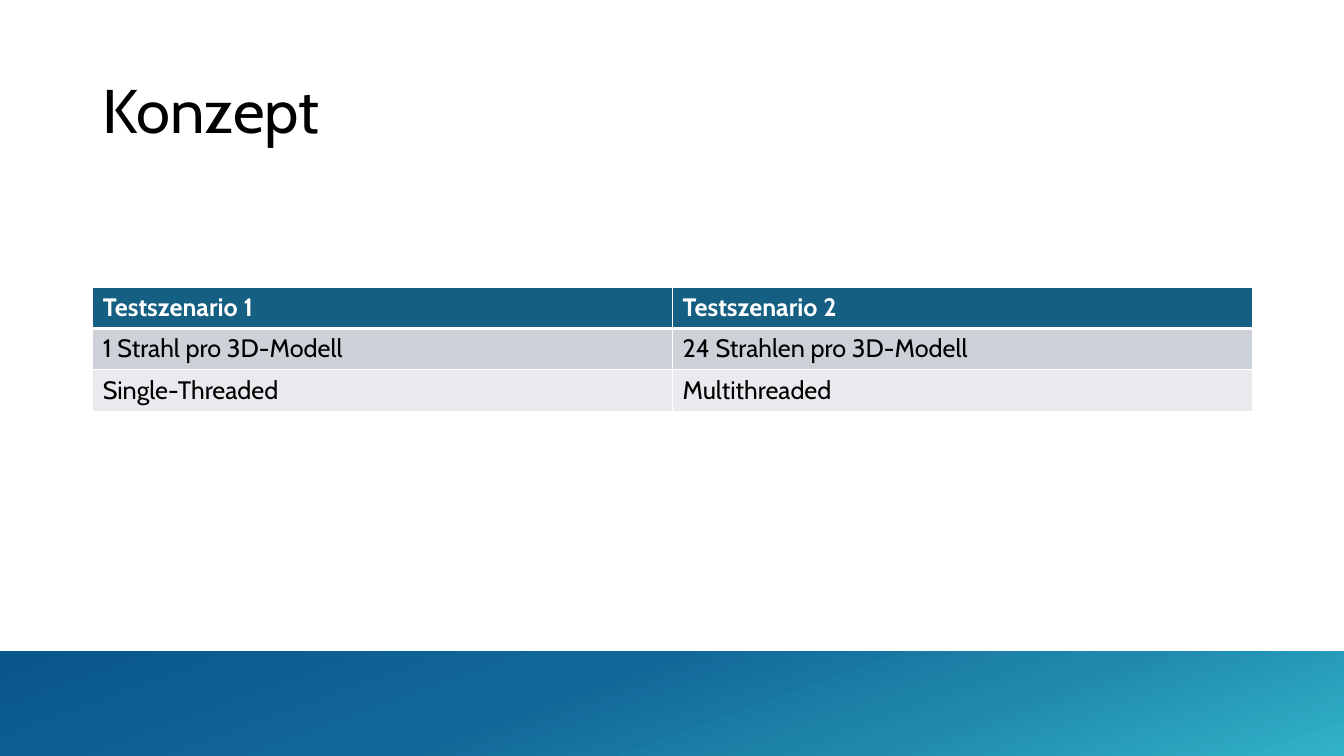
"""Build the "Konzept" slide comparing two test scenarios."""
import lxml.etree
import pptx
import pptx.dml.color
import pptx.enum.shapes
import pptx.enum.text
import pptx.oxml
import pptx.oxml.ns
import pptx.util
from pptx.util import Inches

TITLE = "Konzept"
SCENARIOS = [
    ("Testszenario 1", "Testszenario 2"),
    ("1 Strahl pro 3D-Modell", "24 Strahlen pro 3D-Modell"),
    ("Single-Threaded", "Multithreaded"),
]
THEME = {
    "font": "Cabin",
    "title_size": 44,
    "table_size": 18,
    "text": "000000",
    "header_text": "FFFFFF",
    "row_fills": ["156082", "CCD2D8", "E8EAED"],
    "border": "FFFFFF",
    "band": [(0, "0A568C"), (42, "126999"), (69, "1F88AC"), (100, "31B3C8")],
    "band_angle": 70,
}
LEFT, WIDTH = 0.92, 11.5
ROW_HEIGHT = 0.41
BAND_TOP = 6.46


def style_text(para, size, color, bold=False):
    for span in para.runs:
        span.font.name = THEME["font"]
        span.font.size = pptx.util.Pt(size)
        span.font.bold = bold
        span.font.color.rgb = pptx.dml.color.RGBColor.from_string(color)


def add_band(page, deck):
    band = page.shapes.add_shape(
        pptx.enum.shapes.MSO_SHAPE.RECTANGLE, 0, Inches(BAND_TOP),
        deck.slide_width, deck.slide_height - Inches(BAND_TOP))
    band.shadow.inherit = False
    band.line.fill.background()
    band.fill.gradient()
    gradient = band.fill._xPr.find(pptx.oxml.ns.qn("a:gradFill"))
    stops = "".join(
        f'<a:gs pos="{position * 1000}"><a:srgbClr val="{color}"/></a:gs>'
        for position, color in THEME["band"])
    gradient.getparent().replace(gradient, pptx.oxml.parse_xml(
        f'<a:gradFill {pptx.oxml.ns.nsdecls("a")} rotWithShape="1"><a:gsLst>{stops}</a:gsLst>'
        f'<a:lin ang="{THEME["band_angle"] * 60000}" scaled="0"/></a:gradFill>'))


def add_borders(cell, widths):
    properties = cell._tc.get_or_add_tcPr()
    for index, (side, points) in enumerate(widths.items()):
        properties.insert(index, pptx.oxml.parse_xml(
            f'<a:{side} {pptx.oxml.ns.nsdecls("a")} w="{pptx.util.Pt(points)}"><a:solidFill>'
            f'<a:srgbClr val="{THEME["border"]}"/></a:solidFill></a:{side}>'))


def add_title(page):
    title = page.shapes.title
    title.left, title.top = Inches(LEFT), Inches(0.4)
    title.width, title.height = Inches(WIDTH), Inches(1.45)
    title.text_frame.text = TITLE
    title.text_frame.vertical_anchor = pptx.enum.text.MSO_ANCHOR.MIDDLE
    para = title.text_frame.paragraphs[0]
    para.alignment = pptx.enum.text.PP_ALIGN.LEFT
    para.line_spacing = 0.9
    style_text(para, THEME["title_size"], THEME["text"])


def add_scenarios(page):
    table = page.shapes.add_table(
        len(SCENARIOS), len(SCENARIOS[0]), Inches(LEFT), Inches(2.85),
        Inches(WIDTH), Inches(ROW_HEIGHT * len(SCENARIOS))).table
    for row, (texts, fill) in enumerate(zip(SCENARIOS, THEME["row_fills"])):
        header = row == 0
        table.rows[row].height = Inches(ROW_HEIGHT)
        for column, text in enumerate(texts):
            cell = table.cell(row, column)
            cell.text_frame.text = text
            cell.fill.solid()
            cell.fill.fore_color.rgb = pptx.dml.color.RGBColor.from_string(fill)
            add_borders(cell, {"lnL": 1, "lnR": 1, "lnT": 3 if row == 1 else 1,
                               "lnB": 3 if header else 1})
            style_text(cell.text_frame.paragraphs[0], THEME["table_size"],
                       THEME["header_text"] if header else THEME["text"], header)


def main():
    deck = pptx.Presentation()
    deck.slide_width, deck.slide_height = Inches(13.33), Inches(7.5)
    page = deck.slides.add_slide(deck.slide_layouts.get_by_name("Title Only"))
    add_band(page, deck)
    add_title(page)
    add_scenarios(page)
    deck.save("out.pptx")


if __name__ == "__main__":
    main()
